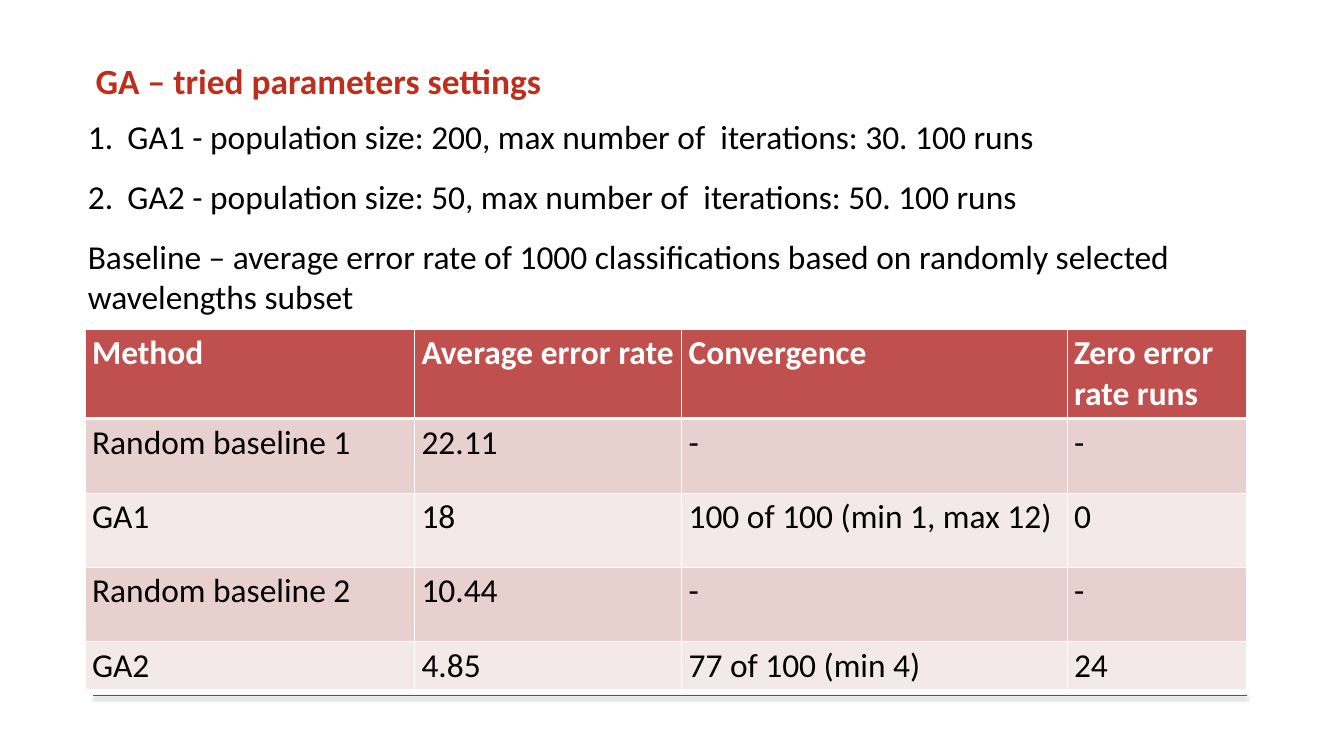
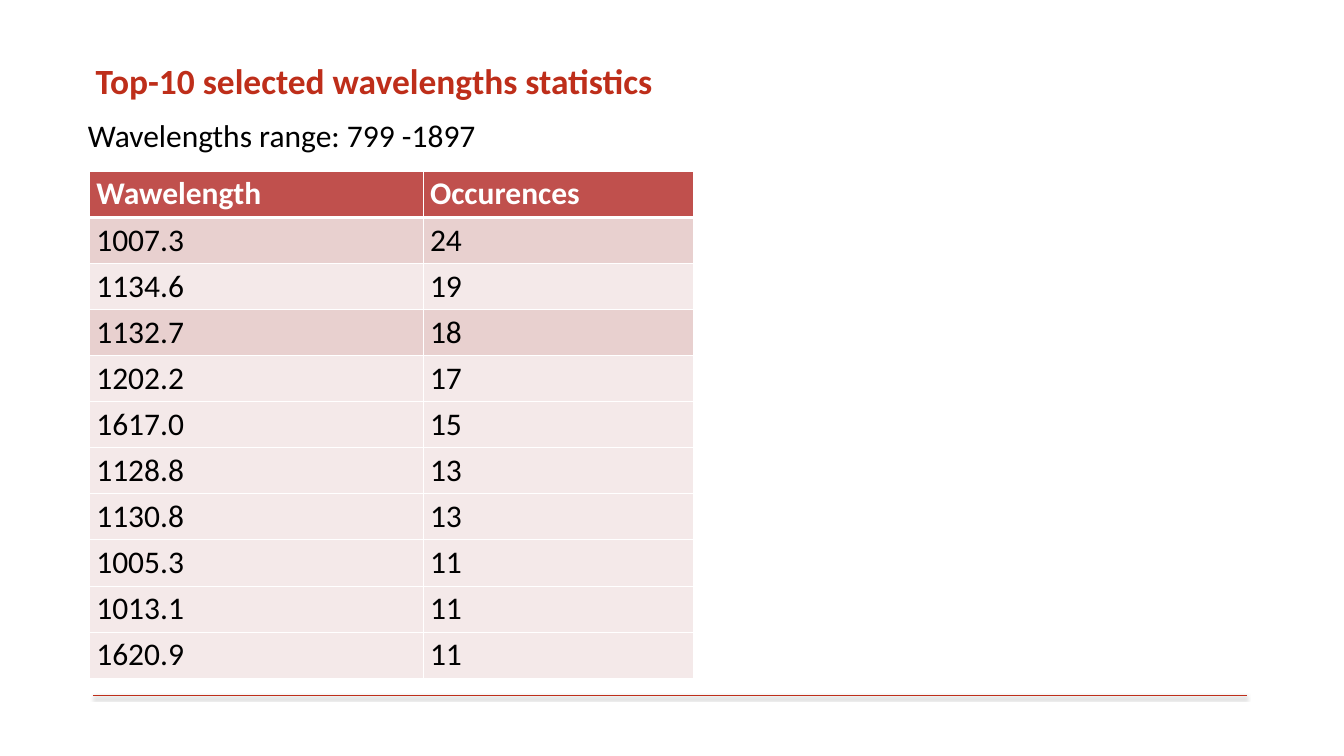
"""Build two slides on genetic algorithm settings and selected wavelengths."""
from dataclasses import dataclass

from lxml.etree import SubElement
from pptx import Presentation
from pptx.dml.color import RGBColor as Rgb
from pptx.enum.shapes import MSO_CONNECTOR as Connector
from pptx.enum.text import MSO_ANCHOR as Anchor
from pptx.oxml import parse_xml
from pptx.oxml.ns import nsdecls, qn
from pptx.slide import Slide
from pptx.text.text import _Paragraph as Paragraph
from pptx.util import Inches, Pt


@dataclass(frozen=True)
class Theme:
    font: str = "Calibri"
    accent: str = "BE2E1A"
    ink: str = "000000"
    white: str = "FFFFFF"
    header: str = "C0504D"
    band: str = "E8D0CF"
    pale: str = "F4E9E9"
    title_size: float = 36
    rule_width: float = 1.5
    thin: float = 0.96
    thick: float = 3


@dataclass(frozen=True)
class Line:
    text: str
    numbered: bool = False


@dataclass(frozen=True)
class Grid:
    left: float
    top: float
    columns: tuple[float, ...]
    heights: tuple[float, ...]
    rows: tuple[tuple[str, ...], ...]
    banded: tuple[int, ...] = (1, 3)


@dataclass(frozen=True)
class Page:
    title: str
    size: float
    body_height: float
    lines: tuple[Line, ...]
    grid: Grid


THEME = Theme()

PAGES = (
    Page(
        "GA – tried parameters settings", 34, 2.35,
        (
            Line("GA1 - population size: 200, max number of  iterations: 30. 100 runs", True),
            Line("GA2 - population size: 50, max number of  iterations: 50. 100 runs", True),
            Line("Baseline – average error rate of 1000 classifications based on "
                 "randomly selected wavelengths subset"),
        ),
        Grid(
            1.2, 4.65, (4.65, 3.77, 5.44, 2.53), (1.26, 1.05, 1.05, 1.05, 0.67),
            (
                ("Method", "Average error rate", "Convergence", "Zero error rate runs"),
                ("Random baseline 1", "22.11", "-", "-"),
                ("GA1", "18", "100 of 100 (min 1, max 12)", "0"),
                ("Random baseline 2", "10.44", "-", "-"),
                ("GA2", "4.85", "77 of 100 (min 4)", "24"),
            ),
        ),
    ),
    Page(
        "Top-10 selected wavelengths statistics", 32, 0.71,
        (Line("Wavelengths range: 799 -1897"),),
        Grid(
            1.26, 2.42, (4.71, 3.82), (0.65,) * 11,
            (
                ("Wawelength", "Occurences"),
                ("1007.3", "24"),
                ("1134.6", "19"),
                ("1132.7", "18"),
                ("1202.2", "17"),
                ("1617.0", "15"),
                ("1128.8", "13"),
                ("1130.8", "13"),
                ("1005.3", "11"),
                ("1013.1", "11"),
                ("1620.9", "11"),
            ),
        ),
    ),
)


def write(para: Paragraph, text: str, size: float, color: str, bold: bool = False) -> None:
    span = para.add_run()
    span.text = text
    for name, value in {"name": THEME.font, "size": Pt(size), "bold": bold}.items():
        setattr(span.font, name, value)
    span.font.color.rgb = Rgb.from_string(color)


def number(para: Paragraph) -> None:
    props = para._p.get_or_add_pPr()
    props.set("marL", str(Inches(0.56)))
    props.set("indent", str(Inches(-0.56)))
    color = SubElement(props, qn("a:buClr"))
    SubElement(color, qn("a:srgbClr"), val=THEME.ink)
    SubElement(props, qn("a:buFont"), typeface=THEME.font)
    SubElement(props, qn("a:buAutoNum"), type="arabicPeriod")


def add_text(slide: Slide, at: tuple[float, ...], lines: tuple[Line, ...],
             size: float, color: str, bold: bool = False) -> None:
    frame = slide.shapes.add_textbox(*map(Inches, at)).text_frame
    inset = Inches(0.04)
    layout = {"word_wrap": True, "vertical_anchor": Anchor.TOP, "margin_left": inset,
              "margin_top": inset, "margin_right": inset, "margin_bottom": inset}
    for name, value in layout.items():
        setattr(frame, name, value)
    for index, line in enumerate(lines):
        para = frame.add_paragraph() if index else frame.paragraphs[0]
        if len(lines) > 1:
            para.space_before = Pt(20)
        if line.numbered:
            number(para)
        write(para, line.text, size, color, bold)


def add_rule(slide: Slide) -> None:
    ends = map(Inches, (1.31, 9.82, 17.6, 9.82))
    rule = slide.shapes.add_connector(Connector.STRAIGHT, *ends)
    rule.line.color.rgb = Rgb.from_string(THEME.accent)
    rule.line.width = Pt(THEME.rule_width)
    rule._element.spPr.append(parse_xml(
        f'<a:effectLst {nsdecls("a")}>'
        f'<a:outerShdw blurRad="{Pt(3.1)}" dist="{Pt(1.6)}" dir="5400000" rotWithShape="0">'
        f'<a:srgbClr val="{THEME.ink}"><a:alpha val="38000"/></a:srgbClr>'
        '</a:outerShdw></a:effectLst>'))


def add_grid(slide: Slide, grid: Grid, size: float) -> None:
    area = (grid.left, grid.top, sum(grid.columns), sum(grid.heights))
    table = slide.shapes.add_table(
        len(grid.rows), len(grid.columns), *map(Inches, area)).table
    table.horz_banding = False
    for column, width in zip(table.columns, grid.columns):
        column.width = Inches(width)
    for index, (row, height, values) in enumerate(zip(table.rows, grid.heights, grid.rows)):
        row.height = Inches(height)
        is_header = index == 0
        fill = THEME.header if is_header else THEME.band if index in grid.banded else THEME.pale
        borders = {"L": THEME.thin, "R": THEME.thin,
                   "T": THEME.thick if index == 1 else THEME.thin,
                   "B": THEME.thick if is_header else THEME.thin}
        for cell, value in zip(row.cells, values):
            cell.fill.solid()
            cell.fill.fore_color.rgb = Rgb.from_string(fill)
            write(cell.text_frame.paragraphs[0], value, size,
                  THEME.white if is_header else THEME.ink, is_header)
            props = cell._tc.get_or_add_tcPr()
            for place, (side, width) in enumerate(borders.items()):
                props.insert(place, parse_xml(
                    f'<a:ln{side} {nsdecls("a")} w="{Pt(width)}"><a:solidFill>'
                    f'<a:srgbClr val="{THEME.white}"/></a:solidFill></a:ln{side}>'))


def main() -> None:
    deck = Presentation()
    deck.slide_width, deck.slide_height = Inches(18.97), Inches(10.67)
    for page in PAGES:
        slide = deck.slides.add_slide(deck.slide_layouts[6])
        add_rule(slide)
        add_text(slide, (1.31, 0.79, 16.28, 0.94), (Line(page.title),),
                 THEME.title_size, THEME.accent, True)
        add_text(slide, (1.2, 1.6, 16.07, page.body_height), page.lines,
                 page.size, THEME.ink)
        add_grid(slide, page.grid, page.size)
    deck.save("out.pptx")


if __name__ == "__main__":
    main()
